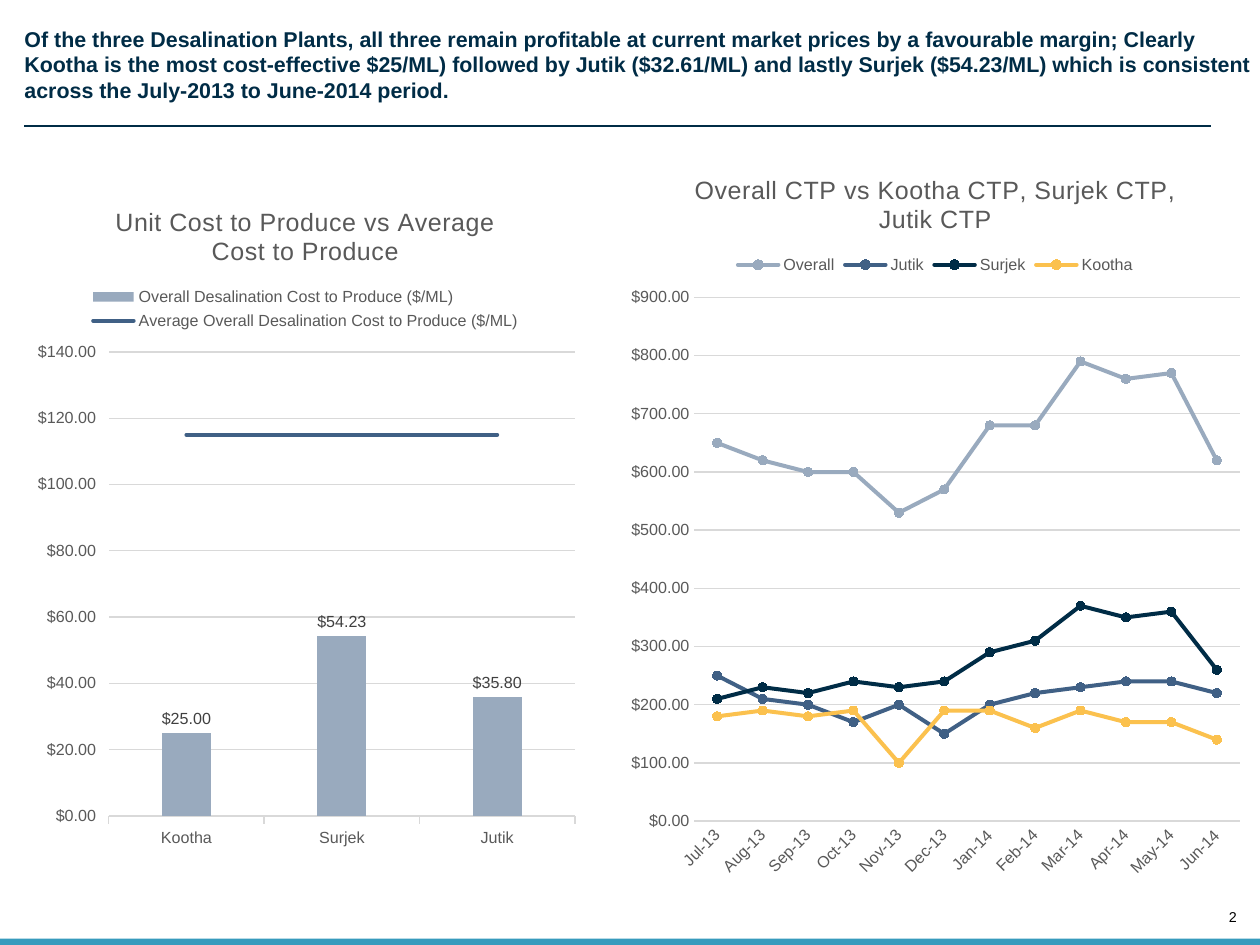
"""Build the desalination cost slide with its title, rule and two charts."""
from copy import deepcopy
from dataclasses import dataclass
from typing import Any

from lxml import etree
from pptx import Presentation
from pptx import util as u
from pptx.chart.data import CategoryChartData
from pptx.dml.color import RGBColor
from pptx.enum import chart as ch, shapes, text
from pptx.oxml import parse_xml
from pptx.oxml.ns import nsdecls, qn

NAVY = RGBColor(0x00, 0x2C, 0x46)
BLUE = RGBColor(0x40, 0x60, 0x85)
STEEL = RGBColor(0x99, 0xAA, 0xBE)
GOLD = RGBColor(0xFB, 0xC1, 0x4E)
TEAL = RGBColor(0x37, 0x9B, 0xBD)
GREY = RGBColor(0x59, 0x59, 0x59)
DARK_GREY = RGBColor(0x40, 0x40, 0x40)
GRID = RGBColor(0xD9, 0xD9, 0xD9)
BLACK = RGBColor(0, 0, 0)

DOLLARS = '"$"#,##0.00;[Red]\\-"$"#,##0.00'
HEADLINE = (
    "Of the three Desalination Plants, all three remain profitable at current market "
    "prices by a favourable margin; Clearly Kootha is the most cost-effective $25/ML) "
    "followed by Jutik ($32.61/ML) and lastly Surjek ($54.23/ML) which is consistent "
    "across the July-2013 to June-2014 period."
)


@dataclass(frozen=True)
class Series:
    name: str
    values: tuple[float, ...]
    color: RGBColor


@dataclass(frozen=True)
class ChartSpec:
    kind: ch.XL_CHART_TYPE
    box: tuple[float, float, float, float]
    title: str
    categories: tuple[str, ...]
    series: tuple[Series, ...]
    top: float
    step: float
    tick: ch.XL_TICK_MARK
    plot: tuple[float, float, float, float]


MONTHLY = ChartSpec(
    ch.XL_CHART_TYPE.LINE_MARKERS, (4.81, 1.15, 4.93, 5.82),
    "Overall CTP vs Kootha CTP, Surjek CTP, Jutik CTP",
    ("Jul-13", "Aug-13", "Sep-13", "Oct-13", "Nov-13", "Dec-13",
     "Jan-14", "Feb-14", "Mar-14", "Apr-14", "May-14", "Jun-14"),
    (
        Series("Overall", (650, 620, 600, 600, 530, 570, 680, 680, 790, 760, 770, 620), STEEL),
        Series("Jutik", (250, 210, 200, 170, 200, 150, 200, 220, 230, 240, 240, 220), BLUE),
        Series("Surjek", (210, 230, 220, 240, 230, 240, 290, 310, 370, 350, 360, 260), NAVY),
        Series("Kootha", (180, 190, 180, 190, 100, 190, 190, 160, 190, 170, 170, 140), GOLD),
    ),
    900, 100, ch.XL_TICK_MARK.NONE, (0.12, 0.2, 0.86, 0.7),
)
UNIT_COST = ChartSpec(
    ch.XL_CHART_TYPE.COLUMN_CLUSTERED, (0.19, 1.41, 4.37, 5.31),
    "Unit Cost to Produce vs Average Cost to Produce",
    ("Kootha", "Surjek", "Jutik"),
    (
        Series("Overall Desalination Cost to Produce ($/ML)", (25, 54.23, 35.8), STEEL),
        Series("Average Overall Desalination Cost to Produce ($/ML)", (115, 115, 115), BLUE),
    ),
    140, 20, ch.XL_TICK_MARK.OUTSIDE, (0.15, 0.25, 0.83, 0.68),
)


def apply(obj: Any, values: dict[str, Any]) -> None:
    """Set each named attribute on an object."""
    for name, value in values.items():
        setattr(obj, name, value)


def set_font(font: Any, size: float, color: RGBColor, bold: bool = False) -> None:
    """Give a font the slide's typeface, a size and a colour."""
    apply(font, {"name": "Arial", "size": u.Pt(size), "bold": bold})
    font.color.rgb = color


def set_line(line: Any, color: RGBColor, width: float) -> None:
    """Give a line a colour and a width in points."""
    line.color.rgb = color
    line.width = u.Pt(width)


def fill_frame(tf: Any, words: str, size: float, color: RGBColor, align: Any,
               anchor: Any, bold: bool = False) -> None:
    """Write one paragraph into a text frame without margins."""
    apply(tf, {"margin_left": 0, "margin_top": 0, "margin_right": 0, "margin_bottom": 0,
               "word_wrap": True, "vertical_anchor": anchor,
               "auto_size": text.MSO_AUTO_SIZE.NONE})
    p = tf.paragraphs[0]
    p.alignment = align
    r = p.add_run()
    r.text = words
    set_font(r.font, size, color, bold)


def place_plot(chart: Any, plot: tuple[float, float, float, float]) -> None:
    """Fix the inner plot area as fractions of the chart."""
    area = chart._chartSpace.chart.plotArea
    for old in area.findall(qn("c:layout")):
        area.remove(old)
    modes = '<c:layoutTarget val="inner"/><c:xMode val="edge"/><c:yMode val="edge"/>'
    sizes = "".join(f'<c:{k} val="{v}"/>' for k, v in zip("xywh", plot))
    area.insert(0, parse_xml(f'<c:layout {nsdecls("c")}><c:manualLayout>{modes}{sizes}'
                             "</c:manualLayout></c:layout>"))


def move_last_to_line(chart: Any) -> None:
    """Turn the last column series into a line on the same axes."""
    bar = chart._chartSpace.chart.plotArea.find(qn("c:barChart"))
    ser = bar.findall(qn("c:ser"))[-1]
    for flag in ser.findall(qn("c:invertIfNegative")):
        ser.remove(flag)
    line = parse_xml(f'<c:lineChart {nsdecls("c")}><c:grouping val="standard"/>'
                     '<c:varyColors val="0"/></c:lineChart>')
    line.append(ser)
    etree.SubElement(line, qn("c:marker")).set("val", "1")
    for axis_id in bar.findall(qn("c:axId")):
        line.append(deepcopy(axis_id))
    bar.addnext(line)


def add_chart(slide: Any, spec: ChartSpec) -> Any:
    """Add a chart with the shared title, legend, axis and line formats."""
    data = CategoryChartData(number_format=DOLLARS)
    data.categories = spec.categories
    for s in spec.series:
        data.add_series(s.name, s.values)
    chart = slide.shapes.add_chart(spec.kind, *map(u.Inches, spec.box), data).chart
    set_font(chart.font, 10, BLACK)
    chart.has_title = True
    r = chart.chart_title.text_frame.paragraphs[0].add_run()
    r.text = spec.title
    set_font(r.font, 14, GREY)
    r._r.get_or_add_rPr().set("spc", "20")
    chart.has_legend = True
    apply(chart.legend, {"position": ch.XL_LEGEND_POSITION.TOP, "include_in_layout": False})
    set_font(chart.legend.font, 9, GREY)
    for axis in (chart.category_axis, chart.value_axis):
        apply(axis, {"major_tick_mark": spec.tick, "minor_tick_mark": ch.XL_TICK_MARK.NONE})
        set_font(axis.tick_labels.font, 9, GREY)
    set_line(chart.category_axis.format.line, GRID, 0.75)
    axis = chart.value_axis
    apply(axis, {"minimum_scale": 0, "maximum_scale": spec.top, "major_unit": spec.step})
    apply(axis.tick_labels, {"number_format": DOLLARS, "number_format_is_linked": False})
    axis.format.line.fill.background()
    set_line(axis.major_gridlines.format.line, GRID, 0.75)
    place_plot(chart, spec.plot)
    if spec.kind == ch.XL_CHART_TYPE.COLUMN_CLUSTERED:
        move_last_to_line(chart)
    for plot in chart.plots:
        plot.vary_by_categories = False
    styled = [ser for plot in chart.plots for ser in plot.series]
    for ser, s in zip(styled, spec.series):
        if hasattr(ser, "marker"):
            ser.smooth = False
            set_line(ser.format.line, s.color, 2.25)
            ser.format.line._ln.set("cap", "rnd")
        else:
            ser.format.fill.solid()
            ser.format.fill.fore_color.rgb = s.color
    return chart


def add_monthly_chart(slide: Any) -> None:
    """Add the monthly lines with round markers and slanted months."""
    chart = add_chart(slide, MONTHLY)
    chart.category_axis._element.find(qn("c:txPr")).bodyPr.set("rot", "-2700000")
    for ser, s in zip(chart.plots[0].series, MONTHLY.series):
        apply(ser.marker, {"style": ch.XL_MARKER_STYLE.CIRCLE, "size": 5})
        ser.marker.format.fill.solid()
        ser.marker.format.fill.fore_color.rgb = s.color
        set_line(ser.marker.format.line, s.color, 0.75)


def add_unit_cost_chart(slide: Any) -> None:
    """Add the plant columns with labels and the average line."""
    chart = add_chart(slide, UNIT_COST)
    columns, average = chart.plots
    apply(columns, {"gap_width": 219, "overlap": -27})
    average.series[0].marker.style = ch.XL_MARKER_STYLE.NONE
    labels = columns.series[0].data_labels
    apply(labels, {"show_value": True, "number_format": DOLLARS,
                   "number_format_is_linked": False,
                   "position": ch.XL_LABEL_POSITION.OUTSIDE_END})
    set_font(labels.font, 9, DARK_GREY)


def main() -> None:
    """Build and save the slide."""
    prs = Presentation()
    apply(prs, {"slide_width": u.Inches(9.8), "slide_height": u.Inches(7.35)})
    slide = prs.slides.add_slide(prs.slide_layouts[5])
    title = slide.shapes.title
    apply(title, {"left": u.Inches(0.19), "top": u.Inches(0.2),
                  "width": u.Inches(9.56), "height": u.Inches(0.61)})
    fill_frame(title.text_frame, HEADLINE, 12, NAVY, text.PP_ALIGN.LEFT,
               text.MSO_ANCHOR.TOP, bold=True)
    number = slide.shapes.add_textbox(*map(u.Inches, (9.48, 7.07, 0.14, 0.13)))
    fill_frame(number.text_frame, "2", 8, BLACK, text.PP_ALIGN.RIGHT, text.MSO_ANCHOR.BOTTOM)
    band = slide.shapes.add_shape(shapes.MSO_SHAPE.RECTANGLE,
                                  *map(u.Inches, (0, 7.3, 9.8, 0.05)))
    band.shadow.inherit = False
    band.fill.solid()
    band.fill.fore_color.rgb = TEAL
    band.line.fill.background()
    rule = slide.shapes.add_connector(shapes.MSO_CONNECTOR.STRAIGHT,
                                      *map(u.Inches, (0.19, 0.98, 9.42, 0.98)))
    set_line(rule.line, NAVY, 0.75)
    etree.SubElement(rule._element.spPr, qn("a:effectLst"))
    add_monthly_chart(slide)
    add_unit_cost_chart(slide)
    prs.save("out.pptx")


if __name__ == "__main__":
    main()
